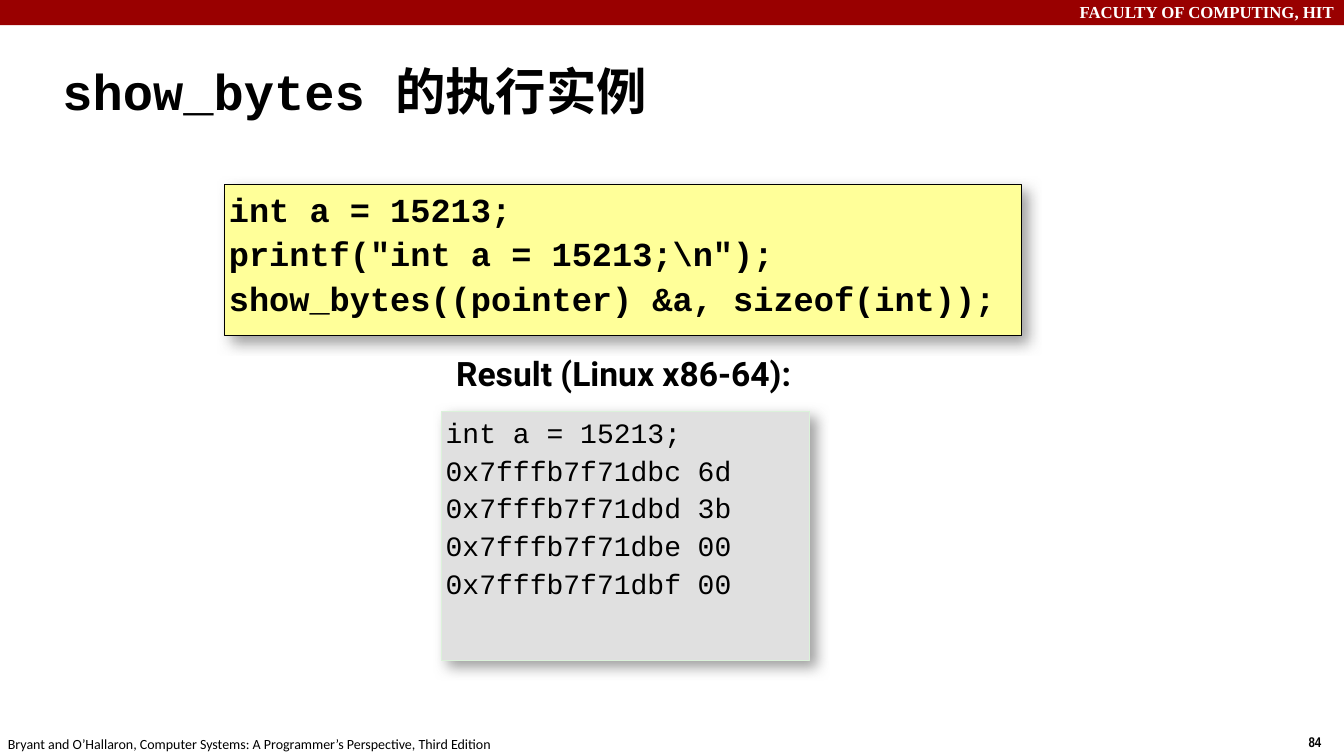
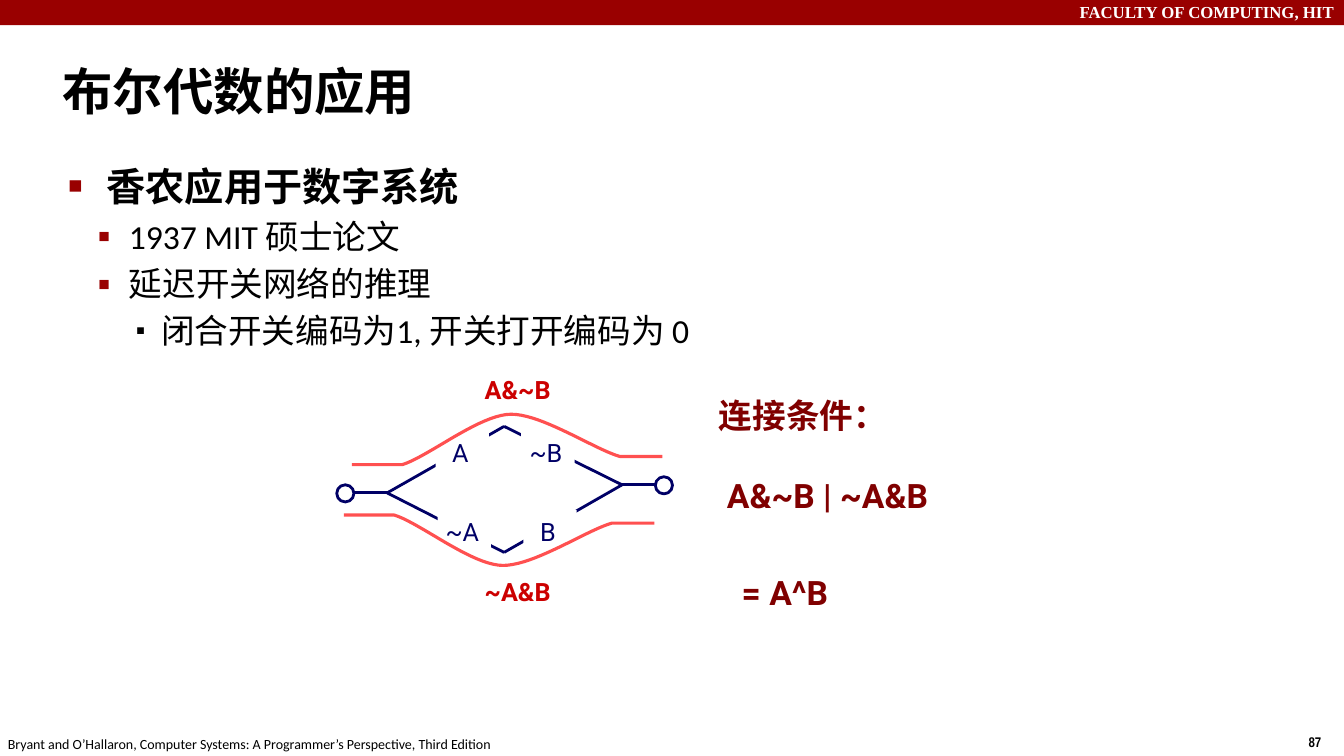
from dataclasses import dataclass

import pptx
import pptx.dml.color
import pptx.enum.shapes
import pptx.enum.text
import pptx.oxml
import pptx.oxml.ns
import pptx.util

PX = 9144  # 100 px to the inch
SHAPES = pptx.enum.shapes.MSO_SHAPE
ALIGN = pptx.enum.text.PP_ALIGN
ANCHOR = pptx.enum.text.MSO_ANCHOR
NS = pptx.oxml.ns.nsdecls("a")

RED, BLACK, WHITE = "990000", "000000", "FFFFFF"
NAVY, MAROON, CRIMSON, CORAL = "000066", "800000", "CC0000", "FF5050"
CODE_INSETS = (0, 4, 4, 0)
LABEL_INSETS = (6, 6, 10, 6)
BRANCH_INSETS = (6, 6, 5, 6)


@dataclass(frozen=True)
class Style:
    face: str
    size: int
    color: str = BLACK
    bold: bool = False


@dataclass(frozen=True)
class Bullet:
    char: str
    color: str
    percent: int


@dataclass(frozen=True)
class Para:
    runs: tuple[tuple[str, Style], ...]
    align: ALIGN = ALIGN.LEFT
    before: float = 0
    left: int = 0
    hang: int = 0
    level: int = 0
    spacing: float = 1.0
    bullet: Bullet | None = None
    tab: int = 0


@dataclass(frozen=True)
class Box:
    left: int
    top: int
    width: int
    height: int


@dataclass(frozen=True)
class Wire:
    start: tuple[int, int]
    end: tuple[int, int]


TITLE = Style("Calibri", 36, bold=True)
TITLE_CODE = Style("Courier New", 36, bold=True)
BANNER = Style("Times New Roman", 12, WHITE, True)
PAGE = Style("Arial Narrow", 10, bold=True)
FOOTER = Style("Calibri", 10)
SOURCE = Style("Courier New", 24, bold=True)
OUTPUT = Style("Courier New", 20)
CAPTION = Style("Roboto", 24, bold=True)
HEADING = Style("Calibri", 28, bold=True)
BODY = Style("Calibri", 24)
SWITCH = Style("Roboto", 18, NAVY)
BRANCH = Style("Roboto", 18, CRIMSON, True)
CONDITION = Style("Roboto", 24, MAROON, True)


def px(value: float) -> int:
    return round(value * PX)


def rgb(value: str) -> pptx.dml.color.RGBColor:
    return pptx.dml.color.RGBColor.from_string(value)


def apply(obj, values: dict) -> None:
    for name, value in values.items():
        setattr(obj, name, value)


def place(box: Box) -> tuple[int, ...]:
    return px(box.left), px(box.top), px(box.width), px(box.height)


def add_paragraph_xml(p, para: Para) -> None:
    """Set indents, bullet and tab stop, which have no public properties."""
    pPr = p._p.get_or_add_pPr()
    pPr.set("marL", str(px(para.left)))
    pPr.set("indent", str(px(para.hang)))
    parts = []
    if para.bullet:
        parts += [
            f'<a:buClr {NS}><a:srgbClr val="{para.bullet.color}"/></a:buClr>',
            f'<a:buSzPct {NS} val="{para.bullet.percent * 1000}"/>',
            f'<a:buFont {NS} typeface="Arial"/>',
            f'<a:buChar {NS} char="{para.bullet.char}"/>',
        ]
    if para.tab:
        parts.append(f'<a:tabLst {NS}><a:tab pos="{px(para.tab)}" algn="l"/></a:tabLst>')
    for part in parts:
        pPr.append(pptx.oxml.parse_xml(part))


def write(sp, paras: list[Para], insets=(10, 5, 10, 5), wrap=True, anchor=ANCHOR.TOP) -> None:
    tf = sp.text_frame
    sides = ("margin_left", "margin_top", "margin_right", "margin_bottom")
    apply(tf, dict(zip(sides, map(px, insets))))
    apply(tf, {"word_wrap": wrap, "vertical_anchor": anchor})
    for i, para in enumerate(paras):
        p = tf.add_paragraph() if i else tf.paragraphs[0]
        add_paragraph_xml(p, para)
        apply(p, {
            "alignment": para.align,
            "level": para.level,
            "line_spacing": para.spacing,
            "space_before": pptx.util.Pt(para.before),
        })
        for text, style in para.runs:
            r = p.add_run()
            r.text = text
            apply(r.font, {"name": style.face, "size": pptx.util.Pt(style.size), "bold": style.bold})
            r.font.color.rgb = rgb(style.color)


def add_text(slide, box: Box, paras: list[Para], **options) -> None:
    write(slide.shapes.add_textbox(*place(box)), paras, **options)


def set_line(line, color: str, width: float) -> None:
    line.color.rgb = rgb(color)
    line.width = pptx.util.Pt(width)


def add_shape(slide, box: Box, fill: str, kind=SHAPES.RECTANGLE, line: str = "", width: float = 0.5):
    sp = slide.shapes.add_shape(kind, *place(box))
    sp.shadow.inherit = False
    sp.fill.solid()
    sp.fill.fore_color.rgb = rgb(fill)
    if line:
        set_line(sp.line, line, width)
    else:
        sp.line.fill.background()
    return sp


def add_code(slide, box: Box, fill: str, line: str, style: Style, rows: list[str]) -> None:
    sp = add_shape(slide, box, fill, line=line)
    effects = sp._element.spPr.find(pptx.oxml.ns.qn("a:effectLst"))
    effects.append(pptx.oxml.parse_xml(
        f'<a:outerShdw {NS} blurRad="127000" dist="76200" dir="2700000" algn="tl" rotWithShape="0">'
        '<a:srgbClr val="808080"><a:alpha val="75000"/></a:srgbClr></a:outerShdw>'))
    paras = [Para(((row, style),), before=3 if i else 0, left=4, tab=300 if "\t" in row else 0)
             for i, row in enumerate(rows)]
    write(sp, paras, insets=CODE_INSETS)


def add_wire(slide, wire: Wire) -> None:
    ends = map(px, wire.start + wire.end)
    cxn = slide.shapes.add_connector(pptx.enum.shapes.MSO_CONNECTOR.STRAIGHT, *ends)
    set_line(cxn.line, NAVY, 2)
    cxn._element.spPr.append(pptx.oxml.parse_xml(f"<a:effectLst {NS}/>"))


def bezier(points: list[tuple[int, int]], steps: int = 20) -> list[tuple[float, float]]:
    """Sample a cubic curve, leaving out its first point."""
    samples = []
    for i in range(1, steps + 1):
        t = i / steps
        weights = ((1 - t) ** 3, 3 * t * (1 - t) ** 2, 3 * t * t * (1 - t), t ** 3)
        samples.append(tuple(sum(w * pt[axis] for w, pt in zip(weights, points)) for axis in (0, 1)))
    return samples


def add_current(slide, points: list[tuple[float, float]]) -> None:
    start, *rest = [(px(x), px(y)) for x, y in points]
    builder = slide.shapes.build_freeform(*start)
    builder.add_line_segments(rest, close=False)
    sp = builder.convert_to_shape()
    sp.shadow.inherit = False
    sp.fill.background()
    set_line(sp.line, CORAL, 2.25)


def new_slide(prs, page: str, *title: tuple[str, Style]):
    """Add a slide with the shared banner, footer, page number and title."""
    slide = prs.slides.add_slide(prs.slide_layouts[6])
    add_shape(slide, Box(0, 0, 1333, 25), RED)
    add_text(slide, Box(0, -3, 1333, 30),
             [Para((("FACULTY OF COMPUTING, HIT", BANNER),), ALIGN.RIGHT)])
    add_text(slide, Box(1288, 723, 34, 27), [Para(((page, PAGE),))], wrap=False)
    footer = "Bryant and O’Hallaron, Computer Systems: A Programmer’s Perspective, Third Edition"
    add_text(slide, Box(-2, 725, 508, 27), [Para(((footer, FOOTER),))], wrap=False)
    add_text(slide, Box(52, 48, 1281, 83), [Para(title)], anchor=ANCHOR.MIDDLE)
    return slide


def show_bytes_slide(prs) -> None:
    slide = new_slide(prs, "84", ("show_bytes ", TITLE_CODE), ("的执行实例", TITLE))
    add_code(slide, Box(223, 183, 790, 150), "FFFF99", BLACK, SOURCE, [
        "int a = 15213;",
        'printf("int a = 15213;\\n");',
        "show_bytes((pointer) &a, sizeof(int));",
    ])
    add_text(slide, Box(439, 350, 359, 40),
             [Para((("Result (Linux x86-64):", CAPTION),), ALIGN.CENTER, left=4)],
             insets=(0, 0, 4, 0), wrap=False)
    add_code(slide, Box(438, 408, 365, 247), "E0E0E0", "DBF2DA", OUTPUT, [
        "int a = 15213;",
        "0x7fffb7f71dbc\t6d",
        "0x7fffb7f71dbd\t3b",
        "0x7fffb7f71dbe\t00",
        "0x7fffb7f71dbf\t00",
    ])


def draw_switches(slide) -> None:
    west, north, east, south = (384, 489), (500, 423), (617, 481), (500, 548)
    for start, end in ((west, north), (west, south), (north, east), (south, east)):
        add_wire(slide, Wire(start, end))
    for text, left, top in (("A", 432, 428), ("~A", 434, 506), ("~B", 517, 428), ("B", 519, 506)):
        sp = add_shape(slide, Box(left, top, 53, 42), WHITE)
        write(sp, [Para(((text, SWITCH),), ALIGN.CENTER)], insets=LABEL_INSETS, wrap=False)
    for wire in (Wire(east, (650, 481)), Wire((350, 489), west)):
        add_wire(slide, wire)
    for left, top in ((334, 481), (650, 473)):
        add_shape(slide, Box(left, top, 17, 17), WHITE, SHAPES.OVAL, NAVY, 2)


def draw_currents(slide) -> None:
    rise = [(399, 461), (425, 453), (476, 411), (507, 411)]
    fall = [(507, 411), (538, 411), (590, 446), (615, 453)]
    upper = [(349, 461), rise[0], *bezier(rise), *bezier(fall), (657, 453)]
    lower = [(x - 8, 972 - y) for x, y in upper]
    for points, text, top in ((upper, "A&~B", 369), (lower, "~A&B", 569)):
        add_current(slide, points)
        add_text(slide, Box(473, top, 80, 39),
                 [Para(((text, BRANCH),), ALIGN.CENTER, spacing=0.9)],
                 insets=BRANCH_INSETS, wrap=False)


def boolean_slide(prs) -> None:
    slide = new_slide(prs, "87", ("布尔代数的应用", TITLE))
    square = Bullet("▪", RED, 110)
    add_text(slide, Box(58, 149, 1253, 544), [
        Para((("香农应用于数字系统", HEADING),), left=38, hang=-38, bullet=Bullet("■", RED, 60)),
        *(Para(((text, BODY),), before=4.8, left=60, hang=-31, level=1, bullet=square)
          for text in ("1937 MIT 硕士论文", "延迟开关网络的推理")),
        Para((("闭合开关编码为1, 开关打开编码为 0", BODY),), before=4.8, left=92, hang=-25,
             level=2, bullet=Bullet("▪", BLACK, 80)),
    ], insets=(10, 12, 10, 5))
    draw_switches(slide)
    add_text(slide, Box(707, 386, 237, 213), [
        Para((("连接条件：", CONDITION),)),
        Para((("A&~B | ~A&B", CONDITION),), before=28, left=8),
    ], insets=LABEL_INSETS)
    draw_currents(slide)
    add_text(slide, Box(724, 561, 108, 51), [Para((("= A^B", CONDITION),), ALIGN.CENTER)],
             insets=BRANCH_INSETS, wrap=False)


def main() -> None:
    prs = pptx.Presentation()
    apply(prs, {"slide_width": px(1333), "slide_height": px(750)})
    show_bytes_slide(prs)
    boolean_slide(prs)
    prs.save("out.pptx")


if __name__ == "__main__":
    main()
